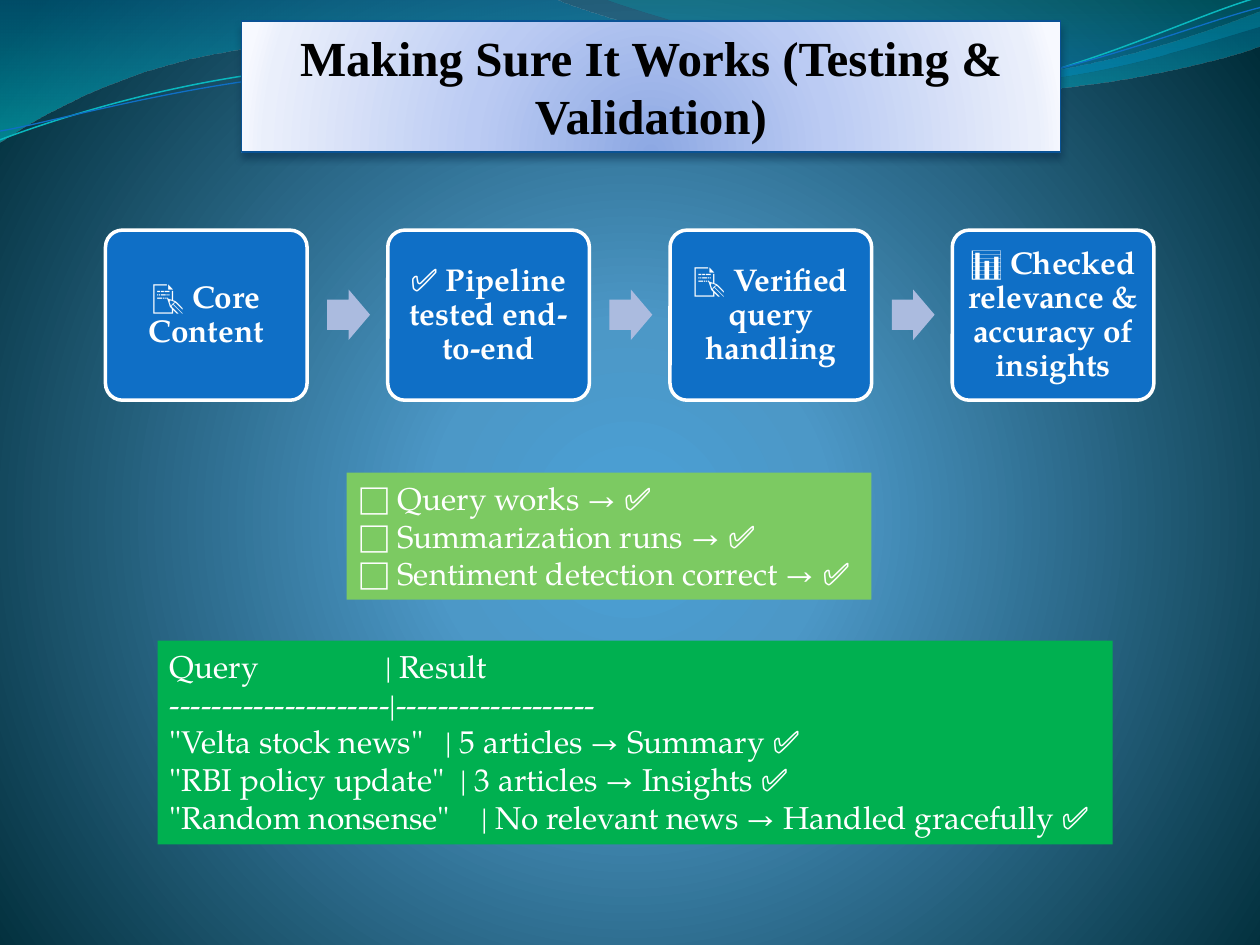
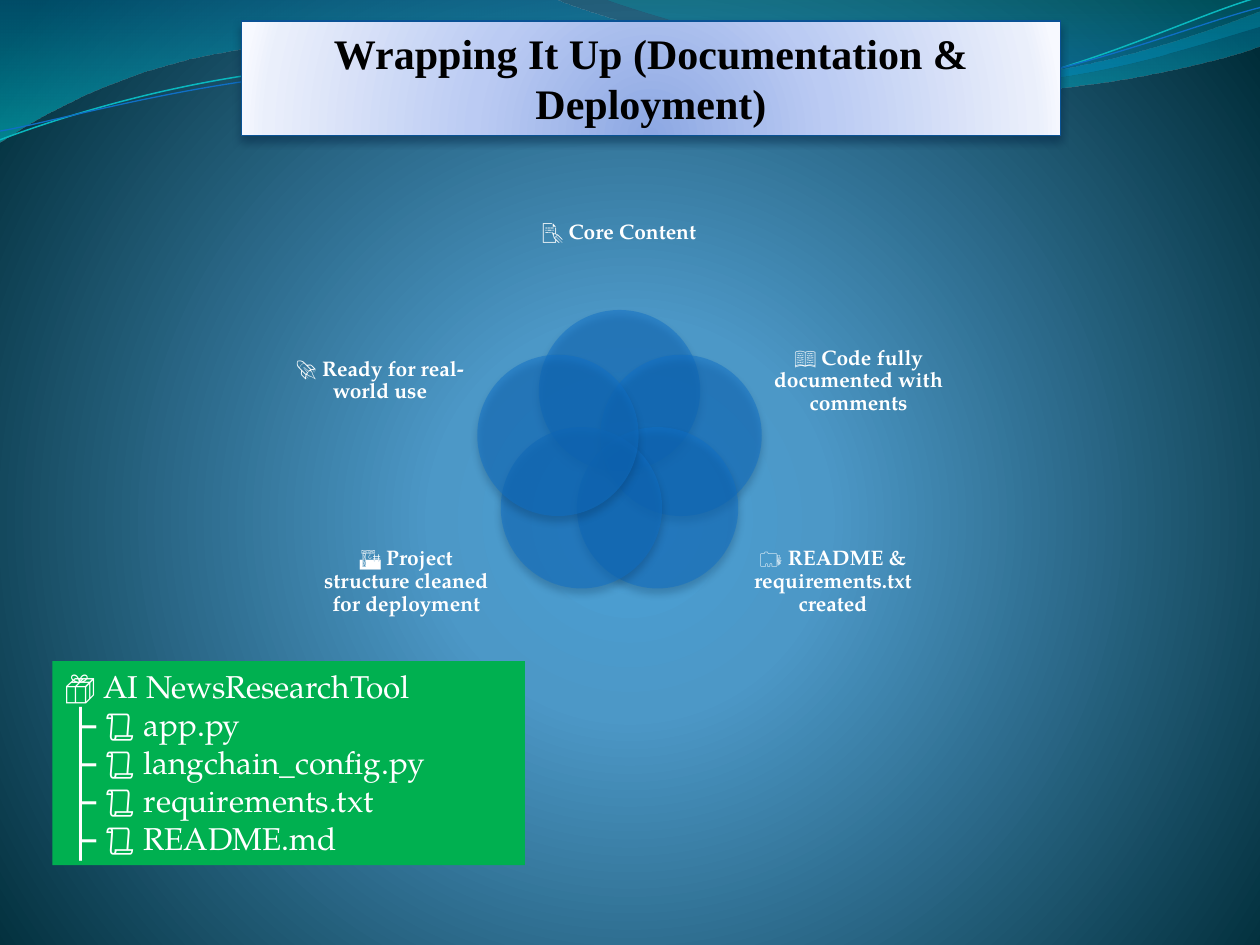
import math

from lxml import etree
from pptx import Presentation, util as u
from pptx.dml.color import RGBColor
from pptx.enum import shapes, text
from pptx.oxml.ns import qn

COLORS = {
    "blue": "0F6FC6", "aqua": "0AB8BF", "edge": "095295", "shadow": "042747",
    "arrow": "ABBBDF", "lime": "7CCA62", "green": "00B050",
    "white": "FFFFFF", "black": "000000",
    "sky": "4AA0D6", "mid_sky": "4C98C7", "deep": "002C38",
    "wave_blue": "0074A1", "wave_cyan": "00C6CF",
    "wave_teal": "00A1A9", "wave_azure": "008BBF",
    "title_core": "8DA8E3", "title_mid": "BBCBF3",
    "title_pale": "EAEFFB", "title_rim": "F7F9FF",
}
BODY_FONT, TITLE_FONT = "TeX Gyre Pagella", "Times New Roman"

# Each curve: start point, then cubic segments of six numbers or lines of two.
WAVES = [
    ([(0, 0), (316.8, -0.7), (342.7, 12.2, 478.1, 45.4, 545.8, 45.4),
      (614.2, 45.4, 689.8, 18.7, 720, 6.5), (720.7, 25.9),
      (707.8, 31.7, 626.4, 54.7, 537.1, 54), (447.8, 54, 275, 20.2, 185, 24.5),
      (92.9, 25.9, 33.1, 59.8, -0.7, 81.4)],
     [(0, "wave_blue", 45), (100, "wave_cyan", 55)]),
    ([(344.9, -0.7), (366.5, 7.9, 491, 44.6, 553.7, 46.8),
      (616.3, 49.7, 691.9, 23, 720, 15.1), (720, 0)],
     [(0, "wave_teal", 30), (80, "wave_azure", 45)]),
]
STRANDS = [
    ([(0, 79.9), (34.6, 67, 113.8, 41, 199.4, 37.4),
      (284.4, 33.8, 427, 64.1, 513.4, 57.6),
      (599.8, 51.1, 675.4, 10.8, 718.6, -1.4)], "aqua", 0.85),
    ([(0, 74.9), (33.8, 69.1, 118.1, 43.9, 203.8, 40.3),
      (290.2, 36.7, 429.8, 60.5, 516.2, 54),
      (601.9, 48.2, 677.5, 15.1, 720, 4.3)], "blue", 0.75),
]


def rgb(name):
    return RGBColor.from_string(COLORS[name])


def add_xml(parent, tag, **attributes):
    values = {key: str(value) for key, value in attributes.items()}
    return etree.SubElement(parent, qn(tag), values)


def add_color(parent, name, opacity=100):
    color = add_xml(parent, "a:srgbClr", val=COLORS[name])
    if opacity < 100:
        add_xml(color, "a:alpha", val=opacity * 1000)


def set_gradient(fill, element, stops, focus=None):
    """Stops are (percent, colour, opacity); focus is a circle's l, t, r, b."""
    fill.gradient()
    gradient = element.find(".//" + qn("a:gradFill"))
    for child in list(gradient):
        gradient.remove(child)
    stop_list = add_xml(gradient, "a:gsLst")
    for percent, name, opacity in stops:
        add_color(add_xml(stop_list, "a:gs", pos=percent * 1000), name, opacity)
    if focus:
        circle = add_xml(gradient, "a:path", path="circle")
        sides = {side: value * 1000 for side, value in zip("ltrb", focus)}
        add_xml(circle, "a:fillToRect", **sides)
    else:
        add_xml(gradient, "a:lin", ang=90 * 60000, scaled=1)


def add_shadow(shape):
    effects = shape._element.spPr.find(qn("a:effectLst"))
    shadow = add_xml(effects, "a:outerShdw", blurRad=u.Pt(4.5), dist=u.Pt(3),
                     dir=90 * 60000, rotWithShape=0)
    add_color(shadow, "shadow", 48)


def add_panel(page, kind, place, fill=None, line=None, width=0.75):
    panel = page.shapes.add_shape(kind, *map(u.Pt, place))
    panel.shadow.inherit = False
    if fill:
        panel.fill.solid()
        panel.fill.fore_color.rgb = rgb(fill)
    set_line(panel, line, width)
    return panel


def set_line(shape, name, width):
    if name:
        shape.line.color.rgb = rgb(name)
        shape.line.width = u.Pt(width)
    else:
        shape.line.fill.background()


def style(font, size, name=BODY_FONT, color="white", bold=False):
    font.size, font.name, font.bold = u.Pt(size), name, bold
    font.color.rgb = rgb(color)


def add_curve(page, curve, close):
    """Build the outline through its end points, then bend the cubic segments."""
    ends = [(u.Pt(part[-2]), u.Pt(part[-1])) for part in curve]
    builder = page.shapes.build_freeform(*ends[0], scale=1.0)
    builder.add_line_segments(ends[1:], close=close)
    shape = builder.convert_to_shape()
    shape.shadow.inherit = False
    sides = list(shape._element.iter(qn("a:lnTo")))
    for side, part in zip(sides, curve[1:]):
        if len(part) == 6:
            bend = etree.Element(qn("a:cubicBezTo"))
            for x, y in zip(part[::2], part[1::2]):
                add_xml(bend, "a:pt", x=u.Pt(x) - shape.left, y=u.Pt(y) - shape.top)
            side.getparent().replace(side, bend)
    return shape


def add_waves(page):
    for curve, stops in WAVES:
        wave = add_curve(page, curve, True)
        set_gradient(wave.fill, wave._element, stops)
        wave.line.fill.background()
    for curve, color, width in STRANDS:
        strand = add_curve(page, curve, False)
        strand.fill.background()
        set_line(strand, color, width)


def add_title(page, title, size, height):
    panel = add_panel(page, shapes.MSO_SHAPE.RECTANGLE,
                      (138, 12, 468, height), line="edge")
    set_gradient(panel.fill, panel._element,
                 [(0, "title_core", 100), (43, "title_mid", 100),
                  (93, "title_pale", 100), (100, "title_rim", 100)],
                 (50, 130, 50, -30))
    add_shadow(panel)
    frame = panel.text_frame
    frame.text = title
    frame.word_wrap = True
    frame.vertical_anchor = text.MSO_ANCHOR.TOP
    para = frame.paragraphs[0]
    para.alignment = text.PP_ALIGN.CENTER
    style(para.runs[0].font, size, TITLE_FONT, "black", True)


def start_page(deck, title, size, height):
    page = deck.slides.add_slide(deck.slide_layouts[6])
    add_waves(page)
    add_title(page, title, size, height)
    return page


def write_label(box, icon, label, size, inset, bold_icon):
    frame = box.text_frame
    frame.word_wrap = True
    frame.vertical_anchor = text.MSO_ANCHOR.MIDDLE
    frame.margin_left = frame.margin_right = u.Pt(inset)
    frame.margin_top = frame.margin_bottom = u.Pt(inset)
    para = frame.paragraphs[0]
    para.alignment = text.PP_ALIGN.CENTER
    para.line_spacing = 0.9
    for words, bold in ((icon + " ", bold_icon), (label, True)):
        span = para.add_run()
        span.text = words
        style(span.font, size, bold=bold)


def add_listing(page, place, fill, lines, wrap=True, tab_stops=None):
    """Add a block of lines; tab_stops maps a line's index to its stop."""
    panel = add_panel(page, shapes.MSO_SHAPE.RECTANGLE, place, fill)
    frame = panel.text_frame
    frame.text = "\n".join(lines)
    frame.word_wrap = wrap
    frame.vertical_anchor = text.MSO_ANCHOR.TOP
    for index, para in enumerate(frame.paragraphs):
        para.alignment = text.PP_ALIGN.LEFT
        if tab_stops and index in tab_stops:
            tabs = add_xml(para._p.get_or_add_pPr(), "a:tabLst")
            add_xml(tabs, "a:tab", pos=u.Pt(tab_stops[index]), algn="l")
        for span in para.runs:
            style(span.font, 18)


def add_process(page, steps):
    pitch = 161.3
    for index, (icon, label) in enumerate(steps):
        card = add_panel(page, shapes.MSO_SHAPE.ROUNDED_RECTANGLE,
                         (60.3 + pitch * index, 131.5, 115.2, 97.2),
                         "blue", "white", 2)
        card.adjustments[0] = 0.1
        write_label(card, icon, label, 18, 5, index == 0)
        if index < len(steps) - 1:
            arrow = add_panel(page, shapes.MSO_SHAPE.RIGHT_ARROW,
                              (187 + pitch * index, 165.5, 24.5, 28.8), "arrow")
            arrow.adjustments[0] = 0.6


def add_venn(page, topics):
    center_x, center_y, orbit, diameter = 354, 260.2, 37, 92.2
    for index, (icon, label, place) in enumerate(topics):
        angle = math.radians(360 / len(topics) * index - 90)
        left = center_x + orbit * math.cos(angle) - diameter / 2
        top = center_y + orbit * math.sin(angle) - diameter / 2
        circle = add_panel(page, shapes.MSO_SHAPE.OVAL,
                           (left, top, diameter, diameter), "blue")
        color = circle._element.spPr.find(qn("a:solidFill"))[0]
        add_xml(color, "a:alpha", val=50000)
        add_shadow(circle)
        box = page.shapes.add_textbox(*map(u.Pt, place))
        write_label(box, icon, label, 12, 0, index == 0)


def build_testing(deck):
    page = start_page(deck, "Making Sure It Works (Testing & Validation)", 28, 75)
    add_process(page, [
        ("📝", "Core Content"),
        ("✅", "Pipeline tested end-to-end"),
        ("📝", "Verified query handling"),
        ("📊", "Checked relevance & accuracy of insights"),
    ])
    checks = ["Query works", "Summarization runs", "Sentiment detection correct"]
    add_listing(page, (198, 270, 300, 72.7), "lime",
                [f"⬜ {check} → ✅" for check in checks], wrap=False)
    add_listing(page, (90, 366, 545.8, 116.6), "green", [
        "Query\t| Result",
        "---------------------|-------------------",
        '"Velta stock news"\t| 5 articles → Summary ✅',
        '"RBI policy update"\t| 3 articles → Insights ✅',
        '"Random nonsense"\t| No relevant news → Handled gracefully ✅',
    ], tab_stops={0: 123, 2: 157.5, 3: 166, 4: 178})


def build_wrap_up(deck):
    page = start_page(deck, "Wrapping It Up (Documentation & Deployment)", 24, 65.4)
    size = (97, 67.7)
    add_venn(page, [
        ("📝", "Core Content", (300.2, 102.2, 107.3, 61.9)),
        ("📖", "Code fully documented with comments", (442.2, 183.8, *size)),
        ("🗂", "README & requirements.txt created", (427.5, 298.6, *size)),
        ("🏗", "Project structure cleaned for deployment", (183.7, 298.6, *size)),
        ("🚀", "Ready for real-world use", (168.7, 183.8, *size)),
    ])
    files = ["app.py", "langchain_config.py", "requirements.txt", "README.md"]
    add_listing(page, (30, 377.8, 270, 116.6), "green",
                ["📦 AI NewsResearchTool", *(f"┣ 📜 {name}" for name in files)])


def main():
    deck = Presentation()
    deck.slide_width, deck.slide_height = u.Pt(720), u.Pt(540)
    master = deck.slide_master
    set_gradient(master.background.fill, master.element,
                 [(0, "sky", 100), (25, "mid_sky", 100), (100, "deep", 100)],
                 (10, 110, 10, 100))
    build_testing(deck)
    build_wrap_up(deck)
    deck.save("out.pptx")


if __name__ == "__main__":
    main()
